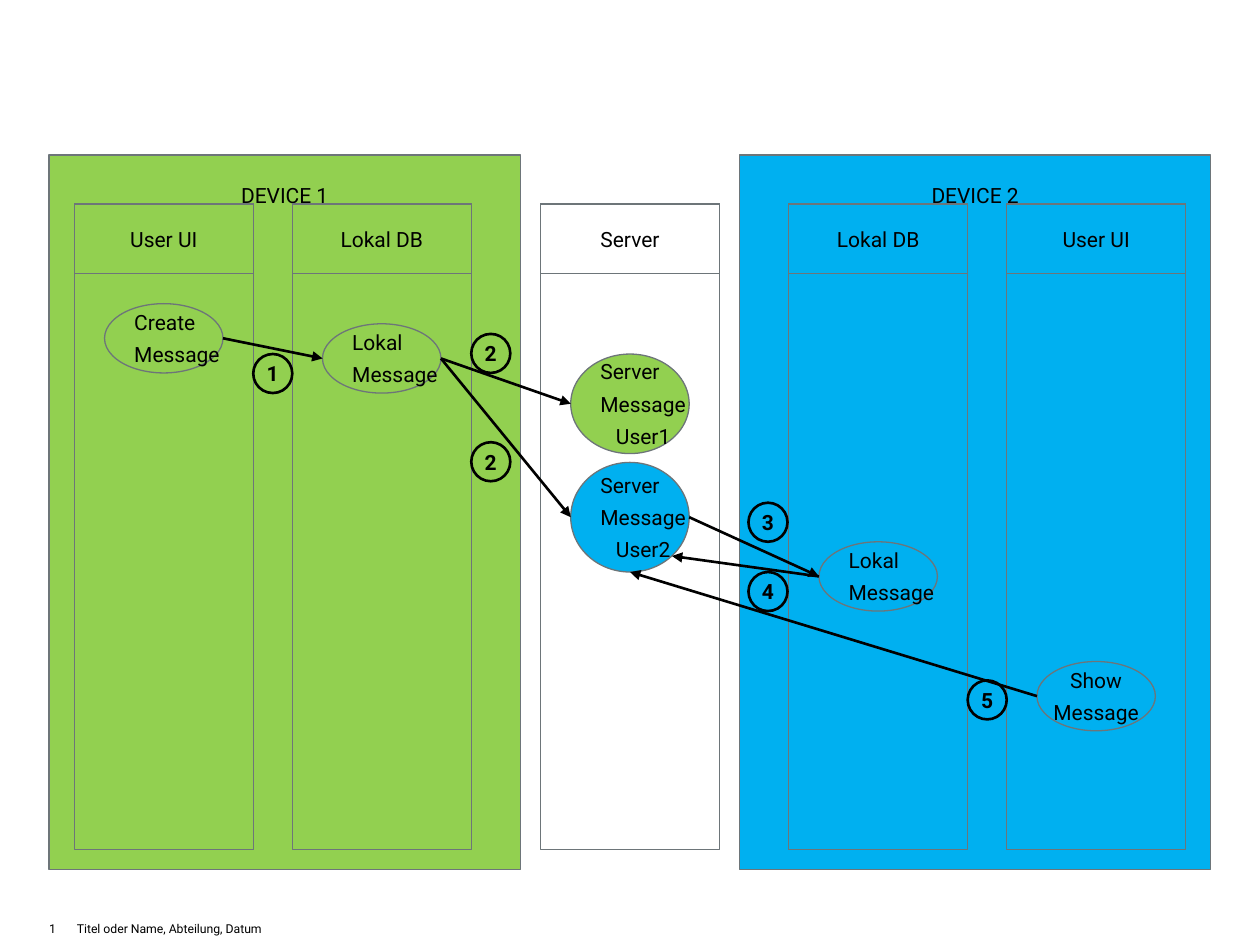
import dataclasses

import lxml.etree
import pptx
import pptx.dml.color
import pptx.enum.shapes
import pptx.enum.text
import pptx.oxml.ns
import pptx.util

Inches = pptx.util.Inches
Pt = pptx.util.Pt
Preset = pptx.enum.shapes.MSO_SHAPE
Align = pptx.enum.text.PP_ALIGN
Anchor = pptx.enum.text.MSO_ANCHOR


@dataclasses.dataclass(frozen=True)
class Theme:
    font: str = "Roboto"
    ink: str = "000000"
    outline: str = "6D7579"
    device_1: str = "92D050"
    device_2: str = "00B0F0"
    body_size: float = 12
    footer_size: float = 7
    thin: float = 0.75
    thick: float = 1.5


THEME = Theme()
LANE_TOP, LANE_WIDTH, LANE_HEIGHT, HEADER_HEIGHT = 1.62, 1.42, 5.12, 0.55
LANES = [
    (0.59, "User UI"),
    (2.32, "Lokal DB"),
    (4.29, "Server"),
    (6.26, "Lokal DB"),
    (7.99, "User UI"),
]
MESSAGE_WIDTH = 0.94
BADGE_SIZE = 0.31
LEFT, RIGHT, BOTTOM, LOWER_RIGHT = (0, 0.5), (1, 0.5), (0.5, 1), (0.854, 0.854)


def rgb(value):
    return pptx.dml.color.RGBColor.from_string(value)


def write_line(paragraph, words, size, alignment, bold=False, space=0):
    paragraph.alignment = alignment
    paragraph.space_before = Pt(space)
    run = paragraph.add_run()
    run.text = words
    run.font.name = THEME.font
    run.font.size = Pt(size)
    run.font.bold = bold
    run.font.color.rgb = rgb(THEME.ink)


def add_block(slide, preset, box, fill=None, line=THEME.outline, weight=THEME.thin):
    block = slide.shapes.add_shape(preset, *map(Inches, box))
    block.shadow.inherit = False
    if fill:
        block.fill.solid()
        block.fill.fore_color.rgb = rgb(fill)
    else:
        block.fill.background()
    block.line.color.rgb = rgb(line)
    block.line.width = Pt(weight)
    return block


def label(block, lines, first_alignment=Align.CENTER, bold=False):
    frame = block.text_frame
    frame.word_wrap = False
    frame.vertical_anchor = Anchor.MIDDLE
    for index, words in enumerate(lines):
        paragraph = frame.add_paragraph() if index else frame.paragraphs[0]
        alignment = Align.CENTER if index else first_alignment
        write_line(paragraph, words, THEME.body_size, alignment, bold, space=4)


def add_device(slide, left, name, fill):
    device = add_block(slide, Preset.RECTANGLE, (left, 1.23, 3.74, 5.67), fill)
    frame = device.text_frame
    frame.word_wrap = False
    frame.vertical_anchor = Anchor.TOP
    frame.margin_top = Inches(0.22)
    write_line(frame.paragraphs[0], name, THEME.body_size, Align.CENTER)


def add_lanes(slide):
    for left, _ in LANES:
        add_block(slide, Preset.RECTANGLE, (left, LANE_TOP, LANE_WIDTH, LANE_HEIGHT))
    for left, name in LANES:
        header = add_block(
            slide, Preset.RECTANGLE, (left, LANE_TOP, LANE_WIDTH, HEADER_HEIGHT)
        )
        label(header, [name])


def add_message(slide, lane, top, height, lines, fill=None, alignment=Align.LEFT):
    left = LANES[lane][0] + (LANE_WIDTH - MESSAGE_WIDTH) / 2
    message = add_block(slide, Preset.OVAL, (left, top, MESSAGE_WIDTH, height), fill)
    label(message, lines, alignment)
    return message


def point_on(message, position):
    across, down = position
    return (
        message.left + int(message.width * across),
        message.top + int(message.height * down),
    )


def add_arrow(slide, source, start, target, end):
    arrow = slide.shapes.add_connector(
        pptx.enum.shapes.MSO_CONNECTOR.STRAIGHT,
        *point_on(source, start),
        *point_on(target, end),
    )
    arrow.line.color.rgb = rgb(THEME.ink)
    arrow.line.width = Pt(THEME.thick)
    qn = pptx.oxml.ns.qn
    head = lxml.etree.SubElement(arrow.line._get_or_add_ln(), qn("a:tailEnd"))
    head.set("type", "triangle")
    lxml.etree.SubElement(arrow._element.spPr, qn("a:effectLst"))


def add_badge(slide, left, top, number):
    badge = add_block(
        slide,
        Preset.OVAL,
        (left, top, BADGE_SIZE, BADGE_SIZE),
        line=THEME.ink,
        weight=THEME.thick,
    )
    label(badge, [number], bold=True)


def add_footer(slide, left, width, words, margin_left, margin_right):
    footer = slide.shapes.add_textbox(*map(Inches, (left, 6.82, width, 0.63)))
    frame = footer.text_frame
    frame.word_wrap = True
    frame.vertical_anchor = Anchor.BOTTOM
    frame.margin_left, frame.margin_right = Inches(margin_left), Inches(margin_right)
    frame.margin_top, frame.margin_bottom = Inches(0.24), Inches(0.16)
    write_line(frame.paragraphs[0], words, THEME.footer_size, Align.LEFT)


def main():
    deck = pptx.Presentation()
    deck.slide_width, deck.slide_height = Inches(10), Inches(7.5)
    slide = deck.slides.add_slide(deck.slide_layouts[6])

    add_footer(slide, 0, 0.77, "1", 0.39, 0)
    add_device(slide, 5.87, "DEVICE 2", THEME.device_2)
    add_device(slide, 0.39, "DEVICE 1", THEME.device_1)
    add_footer(slide, 0.61, 4.35, "Titel oder Name, Abteilung, Datum", 0, 0.39)
    add_lanes(slide)

    created = add_message(slide, 0, 2.41, 0.55, ["Create", "Message"])
    sent = add_message(slide, 1, 2.57, 0.55, ["Lokal", "Message"])
    user_1 = add_message(
        slide, 2, 2.81, 0.79, ["Server", "Message", "User1"], THEME.device_1
    )
    received = add_message(slide, 3, 4.3, 0.55, ["Lokal", "Message"])
    shown = add_message(
        slide, 4, 5.25, 0.55, ["Show", "Message"], alignment=Align.CENTER
    )
    user_2 = add_message(
        slide, 2, 3.67, 0.87, ["Server", "Message", "User2"], THEME.device_2
    )

    for source, start, target, end in [
        (created, RIGHT, sent, LEFT),
        (sent, RIGHT, user_1, LEFT),
        (sent, RIGHT, user_2, LEFT),
        (user_2, RIGHT, received, LEFT),
        (received, LEFT, user_2, LOWER_RIGHT),
        (shown, LEFT, user_2, BOTTOM),
    ]:
        add_arrow(slide, source, start, target, end)

    for left, top, number in [
        (2.01, 2.81, "1"),
        (3.74, 3.51, "2"),
        (3.74, 2.65, "2"),
        (5.94, 3.99, "3"),
        (5.94, 4.54, "4"),
        (7.68, 5.4, "5"),
    ]:
        add_badge(slide, left, top, number)

    deck.save("out.pptx")


if __name__ == "__main__":
    main()
